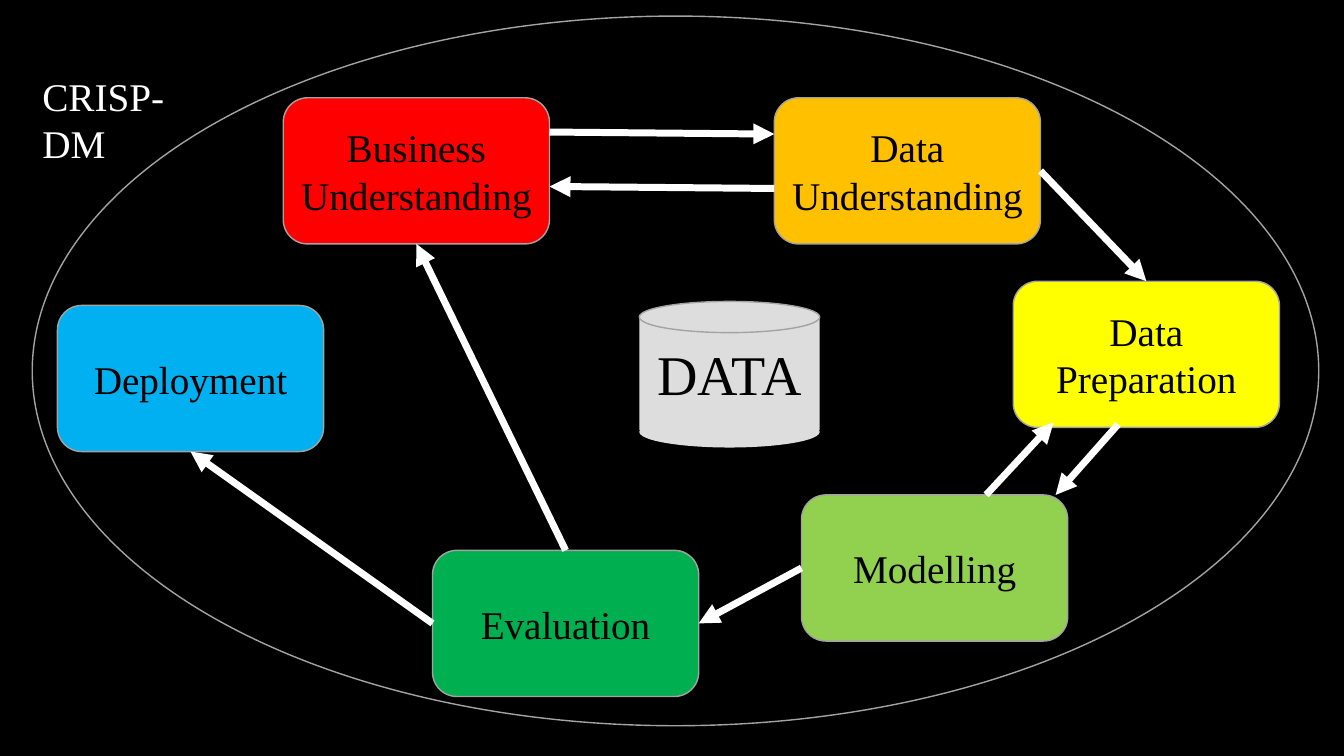
from lxml.etree import SubElement
from pptx import Presentation
from pptx.dml.color import RGBColor
from pptx.enum.shapes import MSO_CONNECTOR, MSO_SHAPE
from pptx.enum.text import MSO_ANCHOR, MSO_AUTO_SIZE, PP_ALIGN
from pptx.oxml.ns import qn
from pptx.util import Inches, Pt

BLACK = RGBColor(0x00, 0x00, 0x00)
WHITE = RGBColor(0xFF, 0xFF, 0xFF)
OUTLINE = RGBColor(0xA3, 0xA3, 0xA3)
DATA_GREY = RGBColor(0xDD, 0xDD, 0xDD)
RED = RGBColor(0xFF, 0x00, 0x00)
ORANGE = RGBColor(0xFF, 0xC0, 0x00)
YELLOW = RGBColor(0xFF, 0xFF, 0x00)
LIME = RGBColor(0x92, 0xD0, 0x50)
GREEN = RGBColor(0x00, 0xB0, 0x50)
BLUE = RGBColor(0x00, 0xB0, 0xF0)

FONT = "Times New Roman"
PHASE_WIDTH, PHASE_HEIGHT = 2.64, 1.45
TOP, LEFT, BOTTOM, RIGHT = range(4)

# Phase name: left, top, fill
PHASES = {
    "Business Understanding": (2.81, 0.97, RED),
    "Data Understanding": (7.68, 0.97, ORANGE),
    "Data Preparation": (10.05, 2.79, YELLOW),
    "Modelling": (7.95, 4.91, LIME),
    "Evaluation": (4.29, 5.46, GREEN),
    "Deployment": (0.57, 3.03, BLUE),
}
# Arrows joined to the middle of phase sides
JOINED_ARROWS = [
    ("Evaluation", TOP, "Business Understanding", BOTTOM),
    ("Data Understanding", RIGHT, "Data Preparation", TOP),
    ("Modelling", LEFT, "Evaluation", RIGHT),
    ("Evaluation", LEFT, "Deployment", BOTTOM),
]
# Paired back-and-forth arrows: start and end points
FREE_ARROWS = [
    ((5.45, 1.31), (7.68, 1.33)),
    ((7.68, 1.87), (5.45, 1.85)),
    ((11.09, 4.21), (10.47, 4.91)),
    ((9.78, 4.91), (10.45, 4.19)),
]


def add_text(shape, text, size, color, align=PP_ALIGN.CENTER, anchor=MSO_ANCHOR.MIDDLE):
    frame = shape.text_frame
    frame.word_wrap = True
    frame.vertical_anchor = anchor
    paragraph = frame.paragraphs[0]
    paragraph.alignment = align
    run = paragraph.add_run()
    run.text = text
    run.font.name = FONT
    run.font.size = Pt(size)
    run.font.color.rgb = color


def add_figure(slide, kind, left, top, width, height, fill=None, outlined=True):
    figure = slide.shapes.add_shape(
        kind, Inches(left), Inches(top), Inches(width), Inches(height))
    figure.shadow.inherit = False
    if fill is None:
        figure.fill.background()
    else:
        figure.fill.solid()
        figure.fill.fore_color.rgb = fill
    if outlined:
        figure.line.color.rgb = OUTLINE
        figure.line.width = Pt(1)
    else:
        figure.line.fill.background()
    return figure


def add_arrow(slide, start=(0, 0), end=(0, 0)):
    arrow = slide.shapes.add_connector(
        MSO_CONNECTOR.STRAIGHT, *(Inches(value) for value in (*start, *end)))
    arrow.line.color.rgb = WHITE
    arrow.line.width = Pt(5)
    SubElement(arrow.line._get_or_add_ln(), qn("a:tailEnd"), type="triangle")
    SubElement(arrow._element.spPr, qn("a:effectLst"))
    return arrow


def add_heading(slide, left, top, width, height):
    heading = slide.shapes.title
    heading.left, heading.top = Inches(left), Inches(top)
    heading.width, heading.height = Inches(width), Inches(height)
    add_text(heading, "CRISP-DM", 28, WHITE, PP_ALIGN.LEFT, MSO_ANCHOR.TOP)
    heading.text_frame.auto_size = MSO_AUTO_SIZE.NONE


def add_cycle(slide, left, top, width, height):
    # Enclosing ellipse
    add_figure(slide, MSO_SHAPE.OVAL, left, top, width, height)

    # Phases, placed from the ellipse's corner
    boxes = {}
    for name, (phase_left, phase_top, fill) in PHASES.items():
        boxes[name] = add_figure(
            slide, MSO_SHAPE.ROUNDED_RECTANGLE,
            left + phase_left - 0.32, top + phase_top - 0.16,
            PHASE_WIDTH, PHASE_HEIGHT, fill)
        add_text(boxes[name], name, 28, BLACK)

    # Arrows between phases
    for source, source_side, target, target_side in JOINED_ARROWS:
        arrow = add_arrow(slide)
        arrow.begin_connect(boxes[source], source_side)
        arrow.end_connect(boxes[target], target_side)
    for points in FREE_ARROWS:
        add_arrow(slide, *(
            (left + x - 0.32, top + y - 0.16) for x, y in points))


def add_data_store(slide, left, top, width, height):
    rim = 0.31
    # Base, body and lid of the cylinder
    add_figure(slide, MSO_SHAPE.OVAL, left, top + height - rim, width, rim,
               DATA_GREY, outlined=False)
    body = add_figure(slide, MSO_SHAPE.RECTANGLE, left, top + rim / 2, width,
                      height - rim - 0.02, DATA_GREY, outlined=False)
    add_text(body, "DATA", 40, BLACK)
    add_figure(slide, MSO_SHAPE.OVAL, left, top, width, rim, DATA_GREY)


def main():
    deck = Presentation()
    deck.slide_width, deck.slide_height = Inches(13.33), Inches(7.5)
    slide = deck.slides.add_slide(deck.slide_layouts[5])
    slide.background.fill.solid()
    slide.background.fill.fore_color.rgb = BLACK

    add_heading(slide, 0.32, 0.67, 2, 0.57)
    add_cycle(slide, 0.32, 0.16, 12.76, 7.04)
    add_data_store(slide, 6.34, 2.99, 1.79, 1.45)
    deck.save("out.pptx")


if __name__ == "__main__":
    main()
